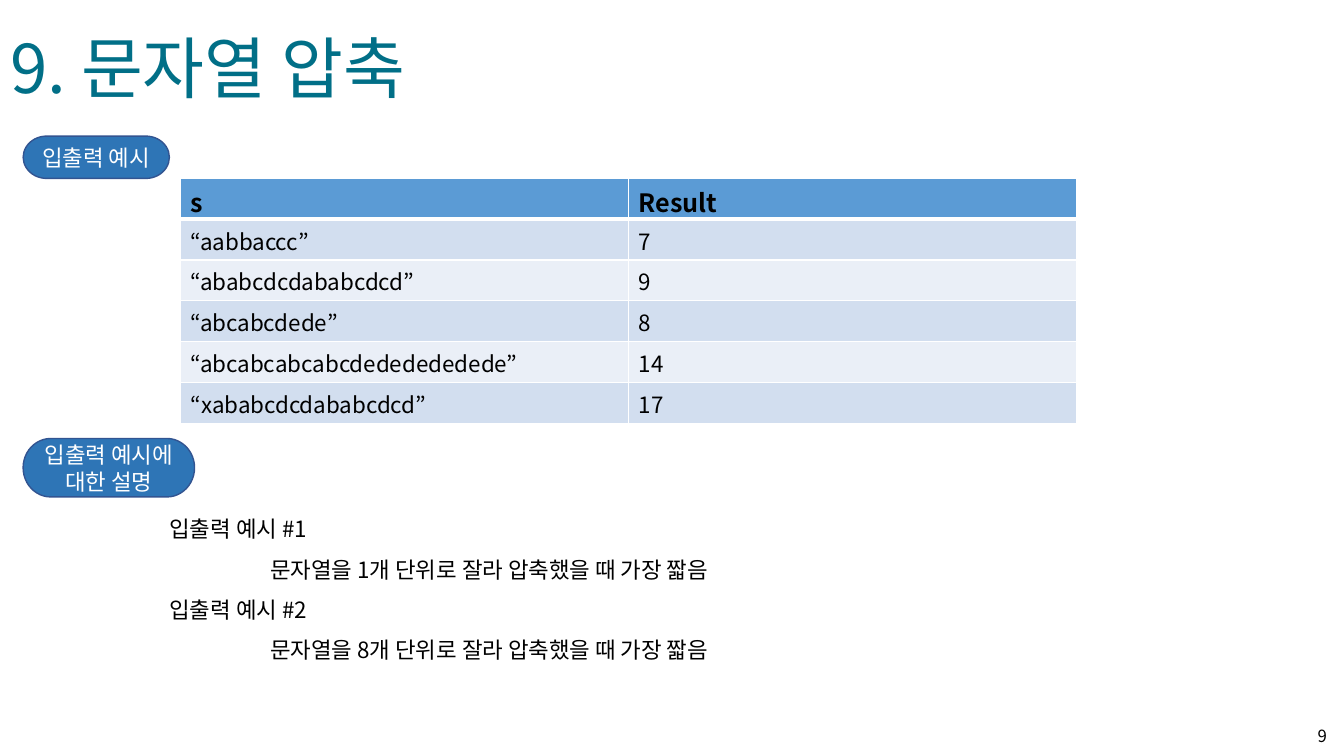
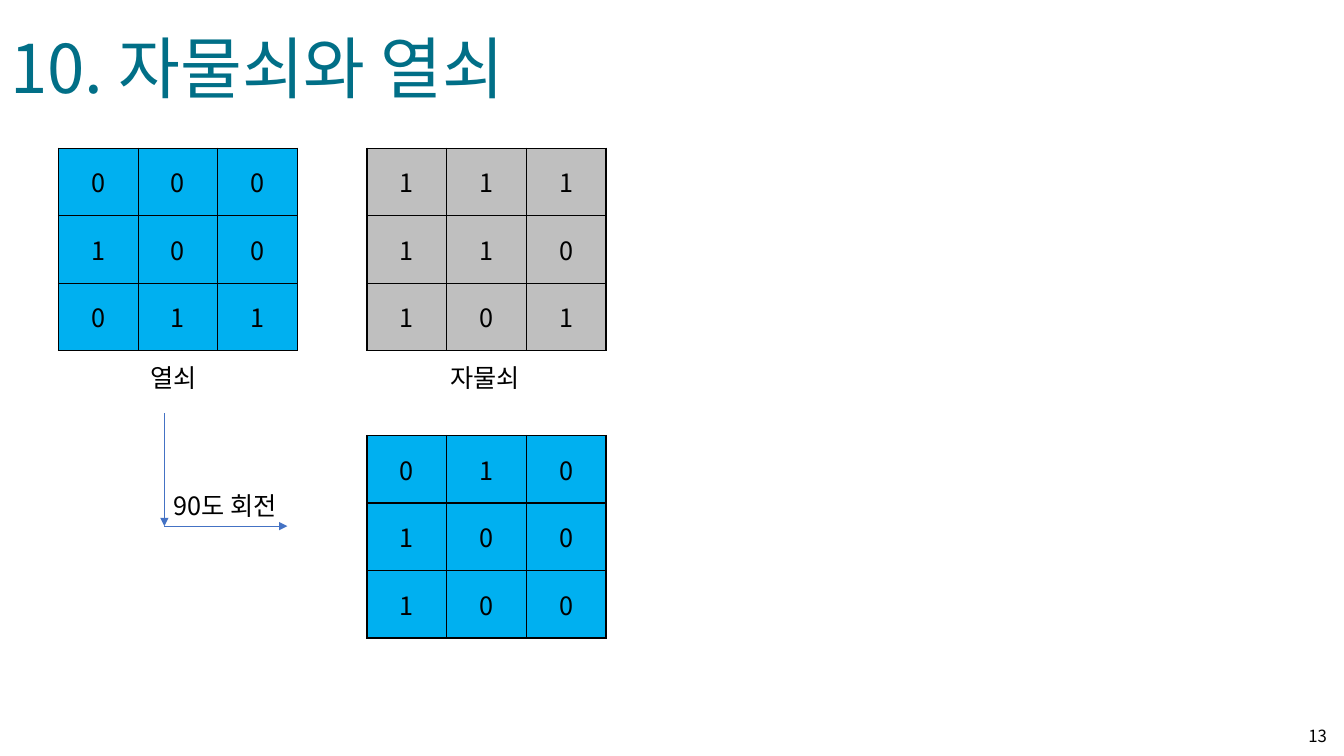
from lxml import etree
from pptx import Presentation
from pptx.dml.color import RGBColor
from pptx.enum.shapes import MSO_CONNECTOR, MSO_SHAPE
from pptx.enum.text import MSO_ANCHOR, MSO_AUTO_SIZE, PP_ALIGN
from pptx.oxml.ns import qn
from pptx.util import Inches, Pt

LEFT, CENTER, RIGHT = PP_ALIGN.LEFT, PP_ALIGN.CENTER, PP_ALIGN.RIGHT
TOP, MIDDLE = MSO_ANCHOR.TOP, MSO_ANCHOR.MIDDLE
FIXED, GROW = MSO_AUTO_SIZE.NONE, MSO_AUTO_SIZE.SHAPE_TO_FIT_TEXT
TERMINATOR = MSO_SHAPE.FLOWCHART_TERMINATOR
STRAIGHT = MSO_CONNECTOR.STRAIGHT
TITLE_AND_CONTENT, TITLE_ONLY = 1, 5

FONT = "Noto Sans CJK KR"
COLORS = {
    "title": "016F87", "text": "000000", "white": "FFFFFF",
    "pill": "2E75B6", "pill_line": "325491",
    "header": "5B9BD5", "band_dark": "D2DEEF", "band_light": "EAEFF7",
    "key": "00B0F0", "lock": "BFBFBF", "arrow": "4472C4",
}

TITLE_FORMAT = {"size": Pt(48), "bold": False}
NUMBER_FORMAT = {"size": Pt(12), "bold": False}
BODY_FORMAT = {"size": Pt(16), "bold": False}
HEADER_FORMAT = {"size": Pt(18), "bold": True}
LABEL_FORMAT = {"size": Pt(18), "bold": False}

COMPRESSION = {"title": "9. 문자열 압축", "title_width": 4.37, "number": "9"}
PILLS = [
    ("입출력 예시", (0.23, 1.35, 1.45, 0.42)),
    ("입출력 예시에 대한 설명", (0.23, 4.35, 1.7, 0.58)),
]
EXAMPLES = [
    ("s", "Result"),
    ("“aabbaccc”", "7"),
    ("“ababcdcdababcdcd”", "9"),
    ("“abcabcdede”", "8"),
    ("“abcabcabcabcdededededede”", "14"),
    ("“xababcdcdababcdcd”", "17"),
]
EXAMPLES_BOX = (1.79, 1.77, 8.89, 2.43)
EXPLANATION = [
    ("입출력 예시 #1", 0.5),
    ("문자열을 1개 단위로 잘라 압축했을 때 가장 짧음", 1.5),
    ("입출력 예시 #2", 0.5),
    ("문자열을 8개 단위로 잘라 압축했을 때 가장 짧음", 1.5),
]
EXPLANATION_BOX = (1.08, 4.93, 11.84, 1.68)

LOCK_AND_KEY = {"title": "10. 자물쇠와 열쇠", "title_width": 5.34, "number": "13"}
GRID_SIZE = (2.37, 2.01)
GRIDS = [
    ("key", (0.58, 1.47), ["000", "100", "011"]),
    ("lock", (3.64, 1.47), ["111", "110", "101"]),
    ("key", (3.64, 4.32), ["010", "100", "100"]),
]
LABELS = [
    ("열쇠", (1.39, 3.55, 0.75, 0.4)),
    ("자물쇠", (4.37, 3.55, 0.97, 0.4)),
    ("90도 회전", (1.62, 4.82, 1.42, 0.4)),
]
ARROW_POINTS = [(1.63, 4.1), (1.63, 5.22), (2.85, 5.22)]


def inches(values):
    return [Inches(value) for value in values]


def color(name):
    return RGBColor.from_string(COLORS[name])


def apply(target, values):
    for name, value in values.items():
        setattr(target, name, value)


def write(paragraph, text, font_format, color_name="text", align=LEFT):
    paragraph.alignment = align
    run = paragraph.add_run()
    run.text = text
    apply(run.font, {"name": FONT, **font_format})
    run.font.color.rgb = color(color_name)
    etree.SubElement(run._r.get_or_add_rPr(), qn("a:ea"), typeface=FONT)


def place(shape, box):
    apply(shape, dict(zip(("left", "top", "width", "height"), inches(box))))


def add_text(slide, text, box, font_format, align=LEFT, anchor=TOP, fit=GROW):
    frame = slide.shapes.add_textbox(*inches(box)).text_frame
    apply(frame, {"word_wrap": True, "auto_size": fit, "vertical_anchor": anchor})
    write(frame.paragraphs[0], text, font_format, align=align)


def add_slide(presentation, layout, content):
    slide = presentation.slides.add_slide(presentation.slide_layouts[layout])
    title = slide.shapes.title
    place(title, (0, 0.21, content["title_width"], 0.91))
    apply(title.text_frame, {"word_wrap": False, "auto_size": GROW, "vertical_anchor": TOP})
    write(title.text_frame.paragraphs[0], content["title"], TITLE_FORMAT, "title")
    add_text(slide, content["number"], (12.69, 7.1, 0.57, 0.4), NUMBER_FORMAT,
             RIGHT, MIDDLE, FIXED)
    return slide


def add_pill(slide, text, box):
    pill = slide.shapes.add_shape(TERMINATOR, *inches(box))
    pill.shadow.inherit = False
    pill.fill.solid()
    pill.fill.fore_color.rgb = color("pill")
    pill.line.color.rgb = color("pill_line")
    pill.line.width = Pt(1)
    apply(pill.text_frame, {"word_wrap": True, "vertical_anchor": MIDDLE})
    write(pill.text_frame.paragraphs[0], text, BODY_FORMAT, "white", CENTER)


def set_borders(cell, color_name, widths):
    properties = cell._tc.get_or_add_tcPr()
    for side, width in zip("LRTB", widths):
        line = etree.SubElement(properties, qn(f"a:ln{side}"), w=str(Pt(width)))
        fill = etree.SubElement(line, qn("a:solidFill"))
        etree.SubElement(fill, qn("a:srgbClr"), val=COLORS[color_name])


def add_table(slide, rows, box, style):
    left, top, width, height = inches(box)
    table = slide.shapes.add_table(len(rows), len(rows[0]), left, top, width, height).table
    apply(table, {"first_row": False, "horz_banding": False})
    for column in table.columns:
        column.width = width // len(rows[0])
    for row in table.rows:
        row.height = height // len(rows)
    for row_index, values in enumerate(rows):
        look = style(row_index)
        for column_index, value in enumerate(values):
            cell = table.cell(row_index, column_index)
            set_borders(cell, look["border"], look["widths"])
            cell.fill.solid()
            cell.fill.fore_color.rgb = color(look["fill"])
            cell.vertical_anchor = look["anchor"]
            write(cell.text_frame.paragraphs[0], value, look["font"], align=look["align"])


def example_style(row_index):
    look = {"border": "white", "anchor": TOP, "align": LEFT}
    if row_index == 0:
        return {**look, "fill": "header", "font": HEADER_FORMAT, "widths": (1, 1, 1, 3)}
    fill = "band_dark" if row_index % 2 else "band_light"
    top_width = 3 if row_index == 1 else 1
    return {**look, "fill": fill, "font": BODY_FORMAT, "widths": (1, 1, top_width, 1)}


def add_grid(slide, fill, position, rows):
    look = {"border": "text", "widths": (1, 1, 1, 1), "fill": fill,
            "font": LABEL_FORMAT, "anchor": MIDDLE, "align": CENTER}
    add_table(slide, rows, position + GRID_SIZE, lambda row_index: look)


def add_arrow(slide, start, end):
    arrow = slide.shapes.add_connector(STRAIGHT, *inches(start + end))
    arrow.line.color.rgb = color("arrow")
    arrow.line.width = Pt(0.5)
    etree.SubElement(arrow.line._get_or_add_ln(), qn("a:tailEnd"), type="triangle")
    etree.SubElement(arrow._element.spPr, qn("a:effectLst"))


def fill_explanation(body):
    place(body, EXPLANATION_BOX)
    frame = body.text_frame
    apply(frame, {"word_wrap": True, "auto_size": GROW, "vertical_anchor": TOP})
    for index, (text, indent) in enumerate(EXPLANATION):
        paragraph = frame.add_paragraph() if index else frame.paragraphs[0]
        apply(paragraph, {"line_spacing": 1.5, "space_before": Pt(0), "space_after": Pt(0)})
        properties = paragraph._p.get_or_add_pPr()
        properties.set("marL", str(Inches(indent)))
        properties.set("indent", "0")
        etree.SubElement(properties, qn("a:buNone"))
        write(paragraph, text, BODY_FORMAT)


def build_compression(presentation):
    slide = add_slide(presentation, TITLE_AND_CONTENT, COMPRESSION)
    for text, box in PILLS:
        add_pill(slide, text, box)
    add_table(slide, EXAMPLES, EXAMPLES_BOX, example_style)
    fill_explanation(slide.placeholders[1])


def build_lock_and_key(presentation):
    slide = add_slide(presentation, TITLE_ONLY, LOCK_AND_KEY)
    for fill, position, rows in GRIDS:
        add_grid(slide, fill, position, rows)
    for start, end in zip(ARROW_POINTS, ARROW_POINTS[1:]):
        add_arrow(slide, start, end)
    for text, box in LABELS:
        add_text(slide, text, box, LABEL_FORMAT)


def main():
    presentation = Presentation()
    apply(presentation, {"slide_width": Inches(13.33), "slide_height": Inches(7.5)})
    build_compression(presentation)
    build_lock_and_key(presentation)
    presentation.save("out.pptx")


if __name__ == "__main__":
    main()
